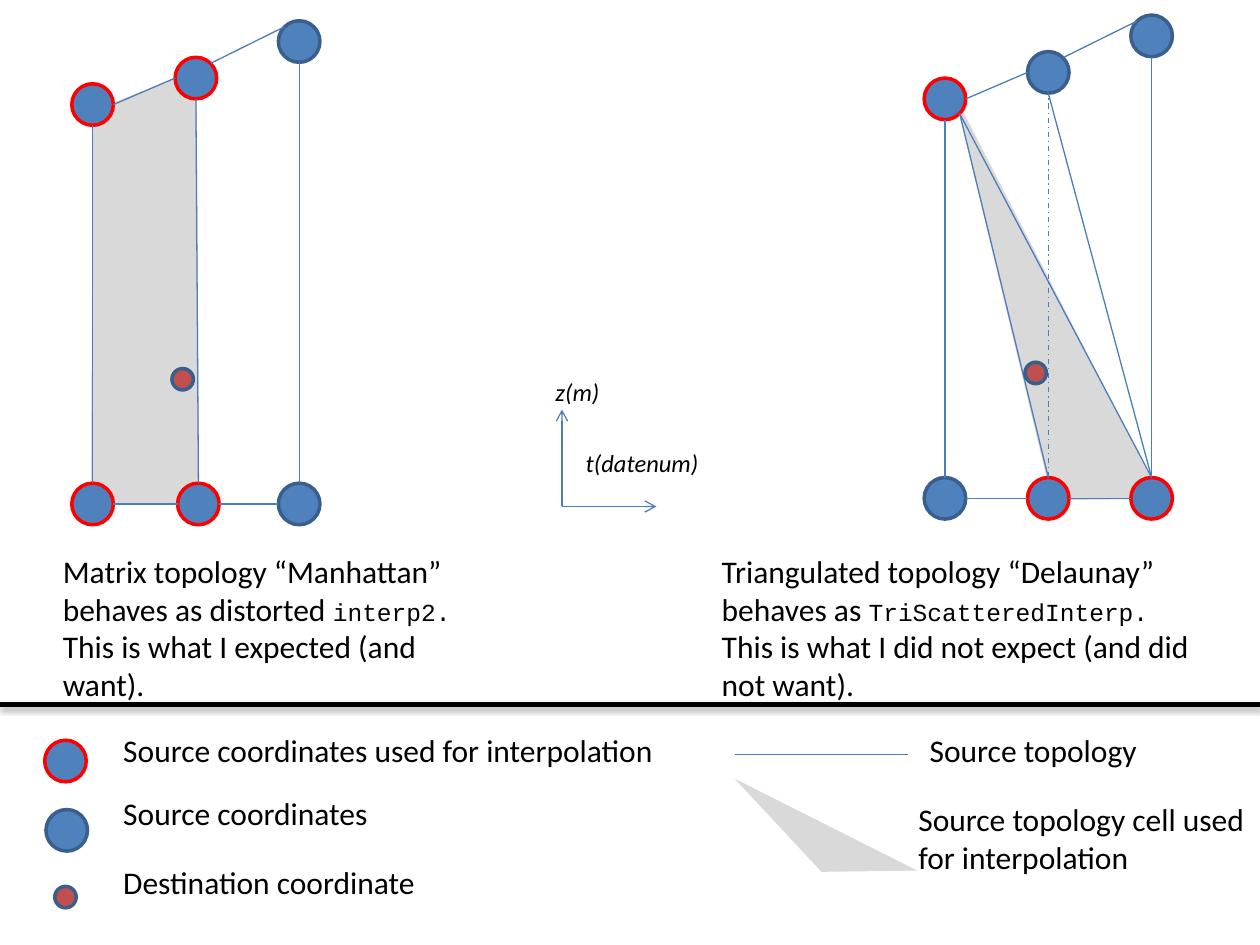
from pptx import Presentation
from pptx.dml.color import RGBColor
from pptx.enum.dml import MSO_LINE
from pptx.enum.shapes import MSO_CONNECTOR, MSO_SHAPE
from pptx.oxml import parse_xml
from pptx.oxml.ns import nsdecls
from pptx.util import Inches, Pt

COLORS = {
    "node": "4F81BD", "border": "3A5F8C", "used": "FF0000", "target": "C0504D",
    "edge": "4B7EBC", "cell": "D9D9D9", "ink": "000000",
}
NODE, TARGET = 0.33, 0.17  # diameters

# Mesh grid: b0-b2 on the bottom row, t0-t2 on top, as (right, up) from b0
GRID_STEP = 0.82
TOP_HEIGHTS = (3.17, 3.38, 3.67)

# Points of a circle where edges attach, in radii from its centre
SITES = {
    "top": (0, -1), "bottom": (0, 1), "left": (-1, 0), "right": (1, 0),
    "upper left": (-0.71, -0.71), "upper right": (0.71, -0.71),
    "lower right": (0.71, 0.71),
}
FRAME_EDGES = [
    ("b0", "right", "b1", "left"), ("b1", "right", "b2", "left"),
    ("t0", "right", "t1", "left"), ("t1", "upper right", "t2", "upper left"),
    ("b0", "top", "t0", "bottom"), ("b2", "top", "t2", "bottom"),
]
MIDDLE_EDGE = ("b1", "top", "t1", "bottom")
DIAGONAL_EDGES = [
    ("t0", "lower right", "b2", "top"), ("t0", "lower right", "b1", "top"),
    ("t1", "bottom", "b2", "top"),
]


def rgb(name):
    return RGBColor.from_string(COLORS[name])


def add_circle(s, center, size=NODE, fill="node", border="border"):
    x, y = center
    sp = s.shapes.add_shape(MSO_SHAPE.OVAL, Inches(x - size / 2),
                            Inches(y - size / 2), Inches(size), Inches(size))
    sp.shadow.inherit = False
    sp.fill.solid()
    sp.fill.fore_color.rgb = rgb(fill)
    sp.line.color.rgb = rgb(border)
    sp.line.width = Pt(2)


def add_line(s, start, end, color="edge", width=0.75, dash=None,
             arrow=False, shadow=False):
    cn = s.shapes.add_connector(MSO_CONNECTOR.STRAIGHT,
                                *(Inches(v) for v in (*start, *end)))
    cn.line.color.rgb = rgb(color)
    cn.line.width = Pt(width)
    if dash:
        cn.line.dash_style = dash
    if arrow:
        cn.line._get_or_add_ln().append(
            parse_xml(f'<a:tailEnd {nsdecls("a")} type="arrow"/>'))
    effect = ""
    if shadow:
        effect = (f'<a:outerShdw blurRad="{Pt(3.1)}" dist="{Pt(1.8)}" '
                  'dir="5400000" rotWithShape="0"><a:srgbClr val="000000">'
                  '<a:alpha val="35000"/></a:srgbClr></a:outerShdw>')
    cn._element.spPr.append(
        parse_xml(f'<a:effectLst {nsdecls("a")}>{effect}</a:effectLst>'))


def add_cell(s, points):
    corners = [(Inches(x), Inches(y)) for x, y in points]
    builder = s.shapes.build_freeform(*corners[0])
    builder.add_line_segments(corners[1:], close=True)
    sp = builder.convert_to_shape()
    sp.shadow.inherit = False
    sp.fill.solid()
    sp.fill.fore_color.rgb = rgb("cell")
    sp.line.fill.background()


def add_run(p, text, size=18, font="Calibri", italic=False):
    r = p.add_run()
    r.text = text
    r.font.size = Pt(size)
    r.font.name = font
    r.font.italic = italic
    r.font.color.rgb = rgb("ink")


def add_text(s, box, *paragraphs, wrap=False, **style):
    """Each paragraph is a string or a list of (text, format) pairs."""
    tf = s.shapes.add_textbox(*(Inches(v) for v in box)).text_frame
    tf.word_wrap = wrap
    for i, paragraph in enumerate(paragraphs):
        p = tf.add_paragraph() if i else tf.paragraphs[0]
        runs = [(paragraph, {})] if isinstance(paragraph, str) else paragraph
        for text, extra in runs:
            add_run(p, text, **{**style, **extra})


def mesh_nodes(x, y, middle_shift=0):
    nodes = {}
    for col, height in enumerate(TOP_HEIGHTS):
        nodes[f"b{col}"] = (x + col * GRID_STEP, y)
        nodes[f"t{col}"] = (x + col * GRID_STEP, y - height)
    nodes["b1"] = (nodes["b1"][0] + middle_shift, y)
    return nodes


def add_mesh(s, nodes, used, edges, target, dashed=()):
    def site(node, side):
        return tuple(c + d * NODE / 2 for c, d in zip(nodes[node], SITES[side]))

    for name, center in nodes.items():
        add_circle(s, center, border="used" if name in used else "border")
    for a, side_a, b, side_b in edges:
        dash = MSO_LINE.DASH_DOT if (a, side_a, b, side_b) in dashed else None
        add_line(s, site(a, side_a), site(b, side_b), dash=dash)
    add_circle(s, target, TARGET, "target")


def add_caption(s, box, lead, function, verdict):
    code = {"size": 14, "font": "Courier New"}
    add_text(s, box, [(lead, {}), (function, code)], verdict, wrap=True)


def add_legend(s):
    markers = [
        ((0.52, 6.04), NODE, "node", "used", 5.75, 4.46,
         "Source coordinates used for interpolation"),
        ((0.53, 6.59), NODE, "node", "border", 6.25, 2.16, "Source coordinates"),
        ((0.52, 7.12), TARGET, "target", "border", 6.8, 2.64,
         "Destination coordinate"),
    ]
    for center, size, fill, border, top, width, label in markers:
        add_circle(s, center, size, fill, border)
        add_text(s, (0.88, top, width, 0.4), label)
    add_line(s, (5.83, 5.99), (7.21, 5.99))
    add_text(s, (7.28, 5.75, 1.86, 0.4), "Source topology")
    add_cell(s, [(6.52, 6.92), (7.28, 6.91), (5.83, 6.18)])
    add_text(s, (7.19, 6.3, 2.81, 0.71), "Source topology cell used",
             "for interpolation", wrap=True)


def main():
    prs = Presentation()
    prs.slide_width, prs.slide_height = Inches(10), Inches(7.5)
    s = prs.slides.add_slide(prs.slide_layouts[6])

    # Shaded cells behind the meshes
    add_cell(s, [(8.35, 3.97), (9.22, 3.96), (7.58, 0.76)])
    add_cell(s, [(0.72, 4), (1.58, 4), (1.56, 0.55), (0.74, 0.88)])

    # Matrix and triangulated meshes
    add_mesh(s, mesh_nodes(0.735, 4, middle_shift=0.02),
             ("b0", "b1", "t0", "t1"), FRAME_EDGES + [MIDDLE_EDGE],
             target=(1.45, 3.01))
    add_mesh(s, mesh_nodes(7.5, 3.955), ("b1", "b2", "t0"),
             FRAME_EDGES + DIAGONAL_EDGES + [MIDDLE_EDGE],
             target=(8.22, 2.96), dashed=[MIDDLE_EDGE])

    # Captions
    add_caption(s, (0.4, 4.33, 3.59, 1.31),
                "Matrix topology “Manhattan” behaves as distorted ", "interp2.",
                "This is what I expected (and want).")
    add_caption(s, (5.63, 4.33, 4.1, 1.31),
                "Triangulated topology “Delaunay” behaves as ",
                "TriScatteredInterp.",
                "This is what I did not expect (and did not want).")

    # Axes
    origin = (4.46, 4.02)
    for tip in ((5.21, 4.02), (4.46, 3.25)):
        add_line(s, origin, tip, arrow=True)
    add_text(s, (4.31, 2.94, 0.55, 0.34), "z(m)", size=14, italic=True)
    add_text(s, (4.55, 3.51, 1.11, 0.34), "t(datenum)", size=14, italic=True)

    # Divider and legend
    add_line(s, (0, 5.59), (10, 5.59), color="ink", width=3, shadow=True)
    add_legend(s)

    prs.save("out.pptx")


if __name__ == "__main__":
    main()
